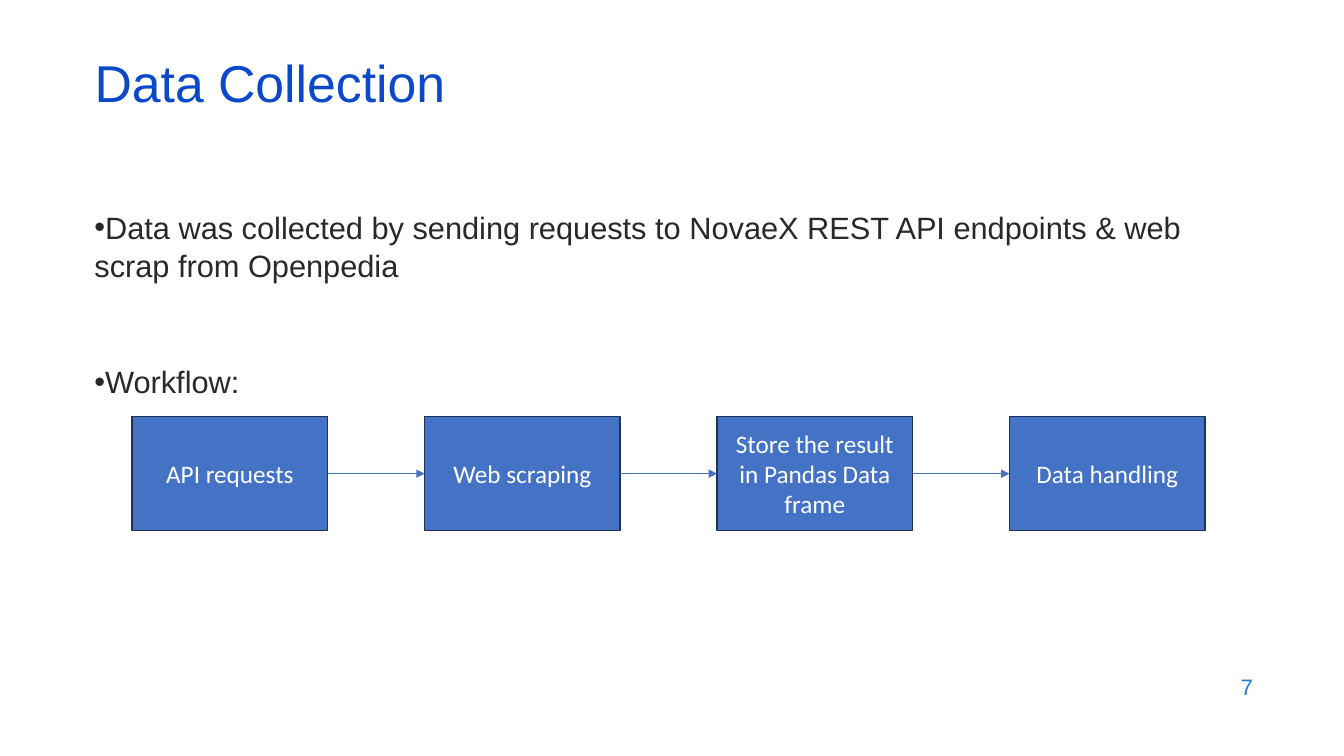
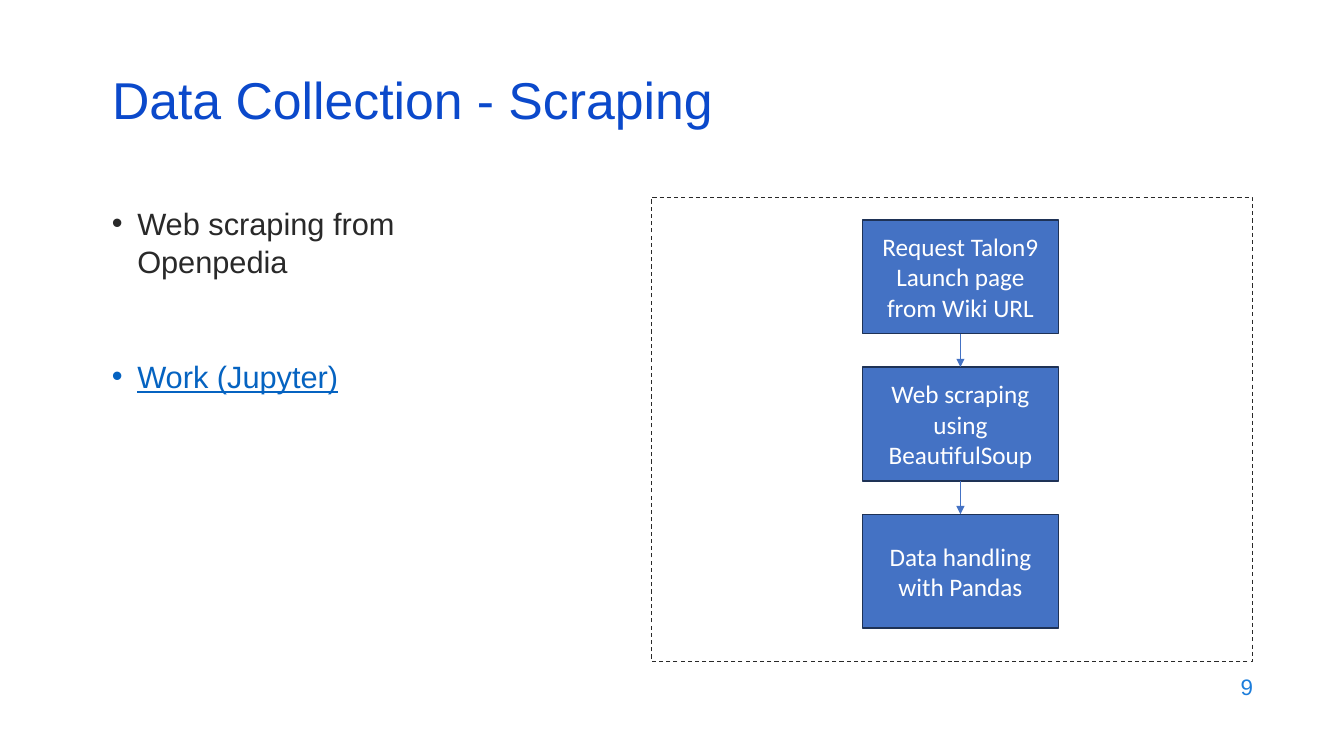
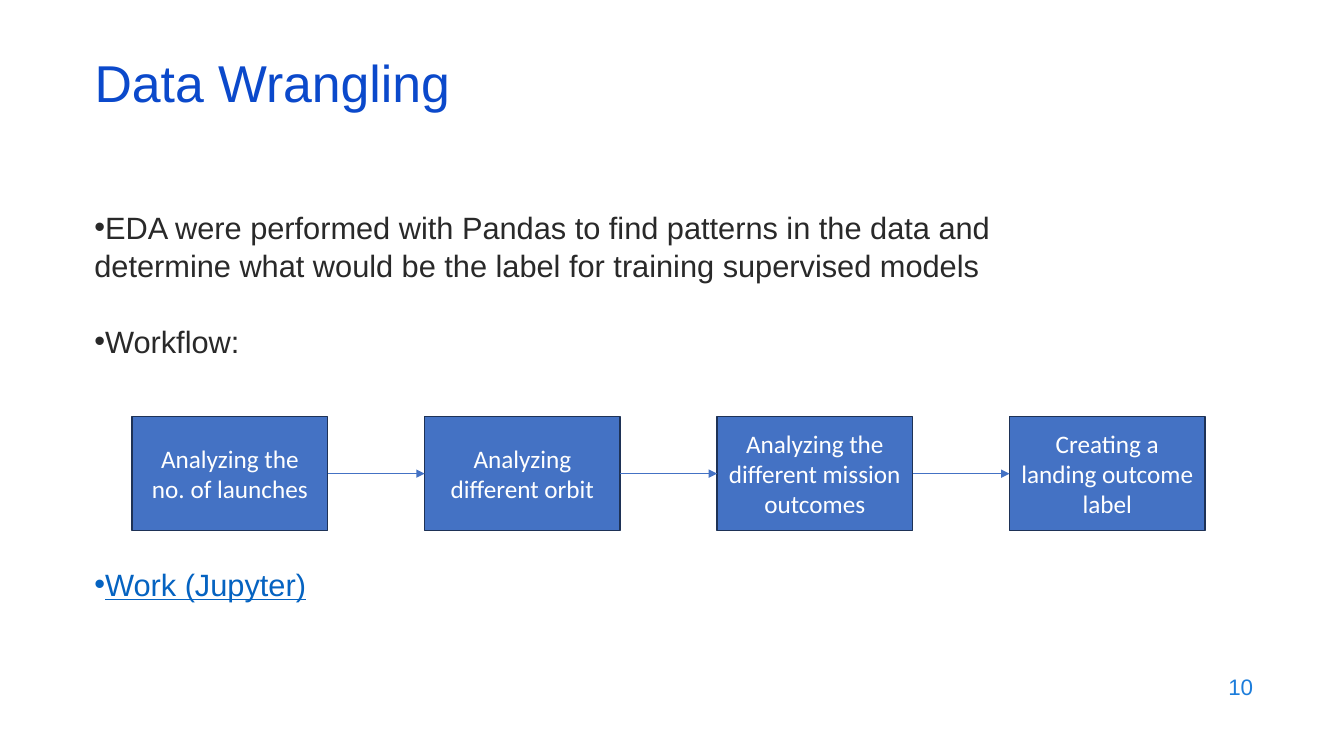
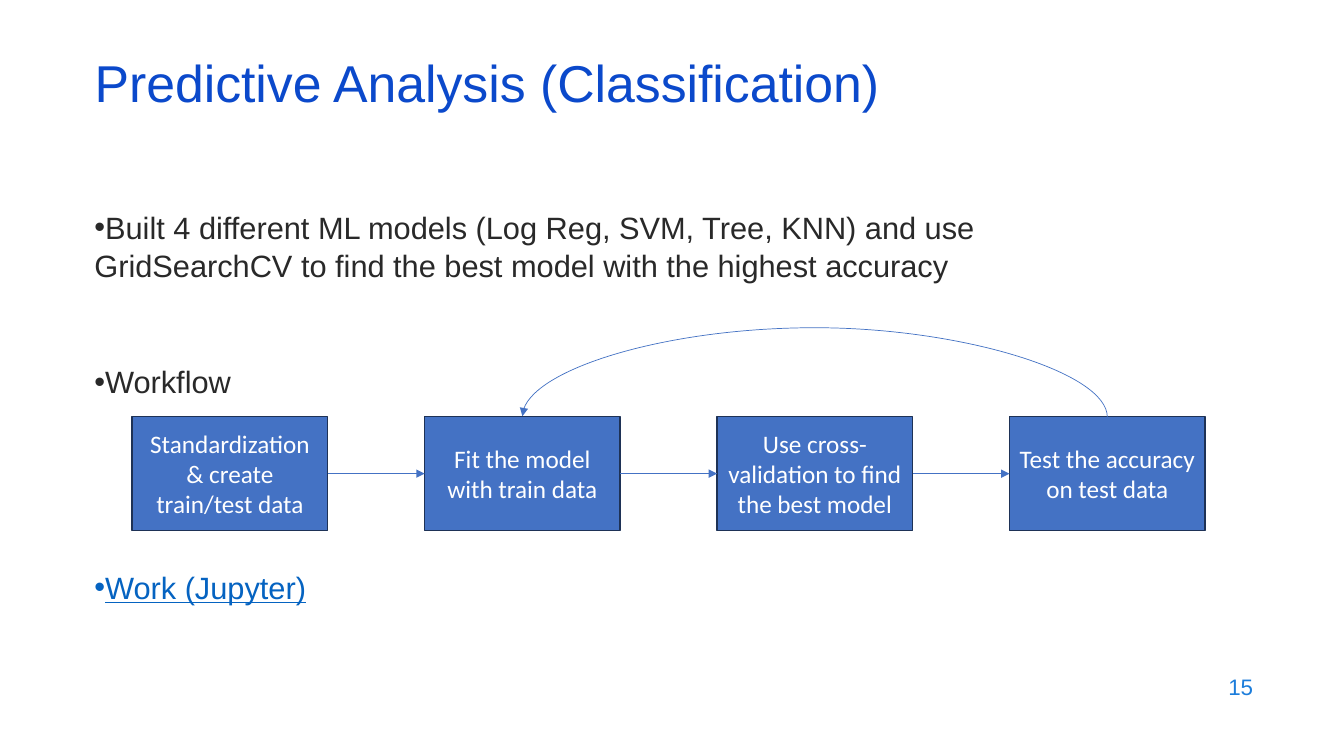
from pptx import Presentation
from pptx.dml.color import RGBColor
from pptx.enum.dml import MSO_LINE
from pptx.enum.shapes import MSO_CONNECTOR, MSO_SHAPE
from pptx.enum.text import MSO_ANCHOR, PP_ALIGN
from pptx.oxml.ns import qn
from pptx.util import Cm, Pt
from lxml.etree import SubElement

TITLE_BLUE = RGBColor(0x0B, 0x49, 0xCB)
NUMBER_BLUE = RGBColor(0x1C, 0x7D, 0xDB)
LINK_BLUE = RGBColor(0x05, 0x63, 0xC1)
STEP_BLUE = RGBColor(0x44, 0x72, 0xC4)
STEP_EDGE = RGBColor(0x1E, 0x32, 0x56)
INK = RGBColor(0x29, 0x29, 0x29)
WHITE = RGBColor(0xFF, 0xFF, 0xFF)

STEP_W, STEP_H = Cm(4.93), Cm(2.87)
ROW_LEFT, ROW_TOP, ROW_PITCH = Cm(3.33), Cm(10.5), Cm(7.37)
COLUMN_LEFT, COLUMN_TOP, COLUMN_PITCH = Cm(21.74), Cm(5.54), Cm(3.71)
LINK = "Work (Jupyter)"

# Each bullet is its text and the space before it in points.
SLIDES = [
    dict(number="7", title="Data Collection", body_width=Cm(29.21),
         bullets=[("Data was collected by sending requests to NovaeX REST API "
                   "endpoints & web scrap from Openpedia", 0),
                  ("Workflow:", 55)],
         steps=["API requests", "Web scraping",
                "Store the result in Pandas Data frame", "Data handling"]),
    dict(number="9", title="Data Collection - Scraping", body_width=Cm(10.92),
         vertical=True,
         bullets=[("Web scraping from Openpedia", 0), (LINK, 54)],
         steps=["Request Talon9 Launch page from Wiki URL",
                "Web scraping using BeautifulSoup",
                "Data handling with Pandas"]),
    dict(number="10", title="Data Wrangling", body_width=Cm(24.94),
         bullets=[("EDA were performed with Pandas to find patterns in the data "
                   "and determine what would be the label for training "
                   "supervised models", 0),
                  ("Workflow:", 26), (LINK, 146)],
         steps=["Analyzing the no. of launches", "Analyzing different orbit",
                "Analyzing the different mission outcomes",
                "Creating a landing outcome label"]),
    dict(number="15", title="Predictive Analysis (Classification)",
         body_width=Cm(27.08), feedback=True,
         bullets=[("Built 4 different ML models (Log Reg, SVM, Tree, KNN) and use "
                   "GridSearchCV to find the best model with the highest "
                   "accuracy", 0),
                  ("Workflow", 55), (LINK, 119)],
         steps=["Standardization & create train/test data",
                "Fit the model with train data",
                "Use cross-validation to find the best model",
                "Test the accuracy on test data"]),
]


def add_run(paragraph, text, size, color, font="Arial"):
    run = paragraph.add_run()
    run.text = text
    run.font.name = font
    run.font.size = Pt(size)
    run.font.color.rgb = color
    return run


def add_arrow(shapes, kind, start, start_site, end, end_site):
    """Join two steps with a thin line that ends in a triangle."""
    arrow = shapes.add_connector(kind, 0, 0, 0, 0)
    arrow.begin_connect(start, start_site)
    arrow.end_connect(end, end_site)
    arrow.line.color.rgb = STEP_BLUE
    arrow.line.width = Pt(0.5)
    SubElement(arrow.line._get_or_add_ln(), qn("a:tailEnd"), type="triangle")
    SubElement(arrow._element.spPr, qn("a:effectLst"))
    return arrow


prs = Presentation()
prs.slide_width, prs.slide_height = Cm(33.87), Cm(19.05)
title_only = prs.slide_layouts[5]

for content in SLIDES:
    vertical = content.get("vertical", False)
    left = Cm(2.57) if vertical else Cm(2.13)
    slide = prs.slides.add_slide(title_only)
    shapes = slide.shapes

    title = shapes.title
    title.left, title.top = left, Cm(1.93) if vertical else Cm(1.5)
    title.width, title.height = Cm(29.21), Cm(1.52)
    title.text_frame.vertical_anchor = MSO_ANCHOR.MIDDLE
    heading = title.text_frame.paragraphs[0]
    heading.alignment = PP_ALIGN.LEFT
    heading.line_spacing = 0.7
    add_run(heading, content["title"], 37, TITLE_BLUE)

    number = shapes.add_textbox(Cm(24.21), Cm(16.74), Cm(7.62), Cm(1.12)).text_frame
    number.word_wrap = True
    number.vertical_anchor = MSO_ANCHOR.MIDDLE
    number.paragraphs[0].alignment = PP_ALIGN.RIGHT
    add_run(number.paragraphs[0], content["number"], 16, NUMBER_BLUE)

    body = shapes.add_textbox(left, Cm(4.98) if vertical else Cm(5.08),
                              content["body_width"], Cm(10.6)).text_frame
    body.word_wrap = True
    hanging = Cm(0.64) if vertical else 0
    for index, (text, space_before) in enumerate(content["bullets"]):
        bullet = body.add_paragraph() if index else body.paragraphs[0]
        properties = bullet._p.get_or_add_pPr()
        properties.set("marL", str(hanging))
        properties.set("indent", str(-hanging))
        SubElement(properties, qn("a:buFont"), typeface="Arial")
        SubElement(properties, qn("a:buChar"), char="•")
        bullet.line_spacing = 1.05
        if space_before:
            bullet.space_before = Pt(space_before)
        run = add_run(bullet, text, 22, LINK_BLUE if text == LINK else INK)
        if text == LINK:
            run.font.underline = True

    if vertical:
        frame = shapes.add_shape(MSO_SHAPE.RECTANGLE,
                                 Cm(16.41), Cm(4.98), Cm(15.16), Cm(11.68))
        frame.shadow.inherit = False
        frame.fill.background()
        frame.line.color.rgb = INK
        frame.line.width = Pt(0.75)
        frame.line.dash_style = MSO_LINE.DASH

    steps = []
    for index, text in enumerate(content["steps"]):
        if vertical:
            x, y = COLUMN_LEFT, COLUMN_TOP + index * COLUMN_PITCH
        else:
            x, y = ROW_LEFT + index * ROW_PITCH, ROW_TOP
        step = shapes.add_shape(MSO_SHAPE.RECTANGLE, x, y, STEP_W, STEP_H)
        step.shadow.inherit = False
        step.fill.solid()
        step.fill.fore_color.rgb = STEP_BLUE
        step.line.color.rgb = STEP_EDGE
        step.line.width = Pt(1)
        step.text_frame.vertical_anchor = MSO_ANCHOR.MIDDLE
        label = step.text_frame.paragraphs[0]
        label.alignment = PP_ALIGN.CENTER
        add_run(label, text, 18, WHITE, "Calibri")
        steps.append(step)

    out_site, in_site = (2, 0) if vertical else (3, 1)
    for step, following in zip(steps, steps[1:]):
        add_arrow(shapes, MSO_CONNECTOR.STRAIGHT, step, out_site, following, in_site)

    if content.get("feedback"):
        # A thin upright curve turned on its side, bulging above the steps.
        arc = add_arrow(shapes, MSO_CONNECTOR.CURVE, steps[3], 0, steps[1], 0)
        span, thickness, rise = 2 * ROW_PITCH, Cm(0.02), Cm(2.25)
        middle = steps[2].left + STEP_W // 2
        arc.left, arc.top = middle - thickness // 2, ROW_TOP - span // 2
        arc.width, arc.height = thickness, span
        turn = arc._element.spPr.find(qn("a:xfrm"))
        turn.set("rot", str(270 * 60000))
        turn.set("flipH", "0")
        turn.set("flipV", "1")
        adjustments = arc._element.spPr.find(qn("a:prstGeom")).find(qn("a:avLst"))
        SubElement(adjustments, qn("a:gd"), name="adj1",
                   fmla=f"val {rise * 100000 // thickness}")

prs.save("out.pptx")
